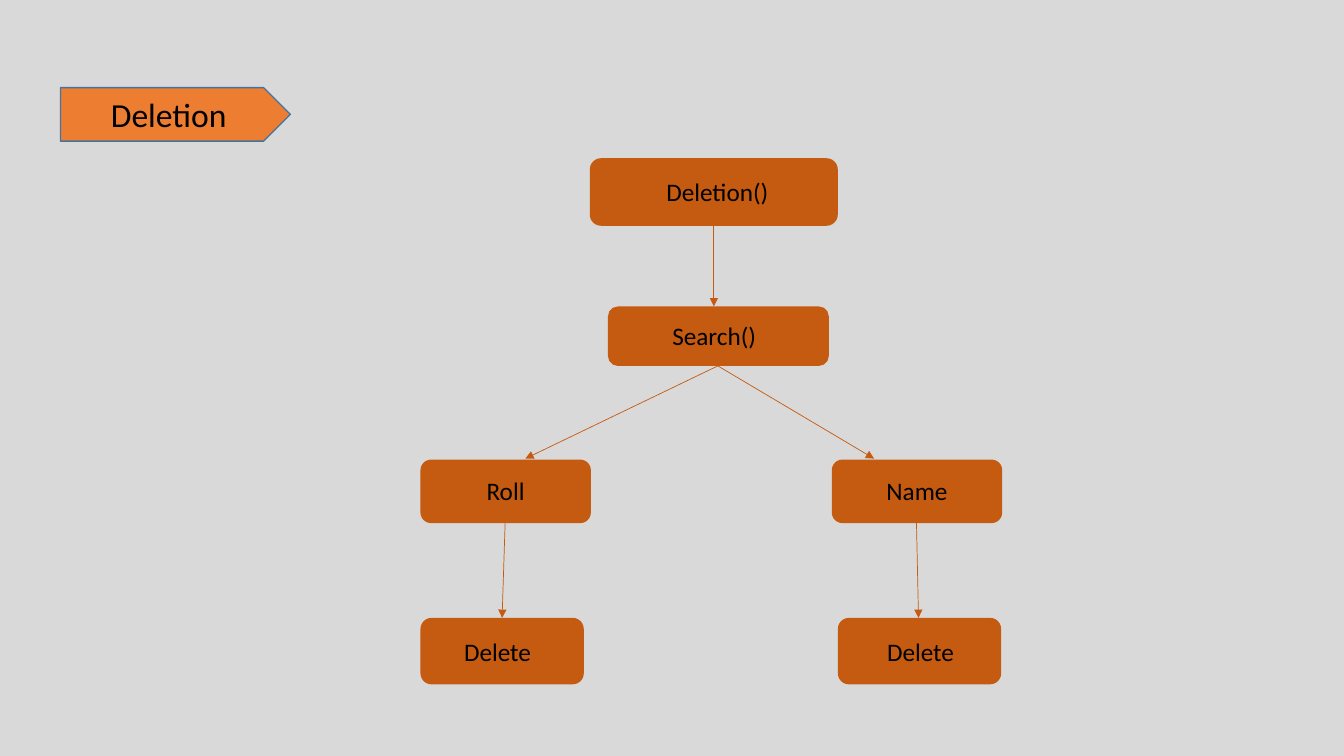
from lxml import etree
from pptx import Presentation
from pptx.dml.color import RGBColor
from pptx.enum.shapes import MSO_CONNECTOR, MSO_SHAPE
from pptx.enum.text import MSO_ANCHOR, MSO_AUTO_SIZE, PP_ALIGN
from pptx.oxml.ns import qn
from pptx.util import Inches, Pt

ROUND, TAG = MSO_SHAPE.ROUNDED_RECTANGLE, MSO_SHAPE.PENTAGON
LINE = MSO_CONNECTOR.STRAIGHT
LEFT, CENTER = PP_ALIGN.LEFT, PP_ALIGN.CENTER
MIDDLE = MSO_ANCHOR.MIDDLE
GROW = MSO_AUTO_SIZE.SHAPE_TO_FIT_TEXT
RUST, ORANGE, BLUE, GREY, BLACK = "C55A11", "ED7D31", "43739E", "D9D9D9", "000000"

NODES = [
    ("Deletion()", (5.85, 1.57, 2.46, 0.67), (6.36, 1.7, 1.51, 0.4), CENTER),
    ("Search()", (6.03, 3.04, 2.19, 0.59), (6.57, 3.13, 1.23, 0.4), LEFT),
    ("Roll", (4.17, 4.56, 1.69, 0.63), (4.4, 4.67, 1.23, 0.41), CENTER),
    ("Name", (8.25, 4.56, 1.69, 0.63), (8.48, 4.67, 1.23, 0.41), CENTER),
    ("Delete", (4.17, 6.13, 1.62, 0.66), (4.4, 6.26, 1.07, 0.4), CENTER),
    ("Delete", (8.31, 6.13, 1.62, 0.66), (8.61, 6.26, 1.04, 0.4), CENTER),
]
ARROWS = [
    (7.08, 2.24, 7.08, 3.04),
    (7.12, 3.63, 5.21, 4.55),
    (7.12, 3.63, 8.67, 4.55),
    (5.01, 5.19, 4.98, 6.13),
    (9.09, 5.19, 9.11, 6.13),
]


def color(code):
    return RGBColor.from_string(code)


def place(box):
    return [Inches(n) for n in box]


def paint(fill, code):
    fill.solid()
    fill.fore_color.rgb = color(code)


def write(frame, text, size, align):
    para = frame.paragraphs[0]
    para.alignment = align
    run = para.add_run()
    run.text = text
    run.font.color.rgb = color(BLACK)
    for key, value in {"name": "Calibri", "size": Pt(size)}.items():
        setattr(run.font, key, value)


def add_block(slide, kind, box, code):
    block = slide.shapes.add_shape(kind, *place(box))
    block.shadow.inherit = False
    paint(block.fill, code)
    block.line.fill.background()
    return block


def add_node(slide, text, box, label, align):
    add_block(slide, ROUND, box, RUST)
    frame = slide.shapes.add_textbox(*place(label)).text_frame
    for key, value in {"word_wrap": True, "auto_size": GROW}.items():
        setattr(frame, key, value)
    write(frame, text, 18, align)


def add_arrow(slide, ends):
    arrow = slide.shapes.add_connector(LINE, *place(ends))
    arrow.line.color.rgb = color(RUST)
    arrow.line.width = Pt(0.5)
    props = arrow.line._get_or_add_ln()
    etree.SubElement(props, qn("a:tailEnd"), type="triangle")
    etree.SubElement(props.getparent(), qn("a:effectLst"))


def add_title(slide, text, box):
    tag = add_block(slide, TAG, box, ORANGE)
    paint(tag.line.fill, BLUE)
    tag.line.width = Pt(1)
    tag.text_frame.vertical_anchor = MIDDLE
    write(tag.text_frame, text, 24, CENTER)


def main():
    deck = Presentation()
    deck.slide_width, deck.slide_height = place((13.33, 7.5))
    slide = deck.slides.add_slide(deck.slide_layouts[6])
    paint(slide.background.fill, GREY)
    for node in NODES:
        add_node(slide, *node)
    for ends in ARROWS:
        add_arrow(slide, ends)
    add_title(slide, "Deletion", (0.6, 0.87, 2.28, 0.53))
    deck.save("out.pptx")


if __name__ == "__main__":
    main()
